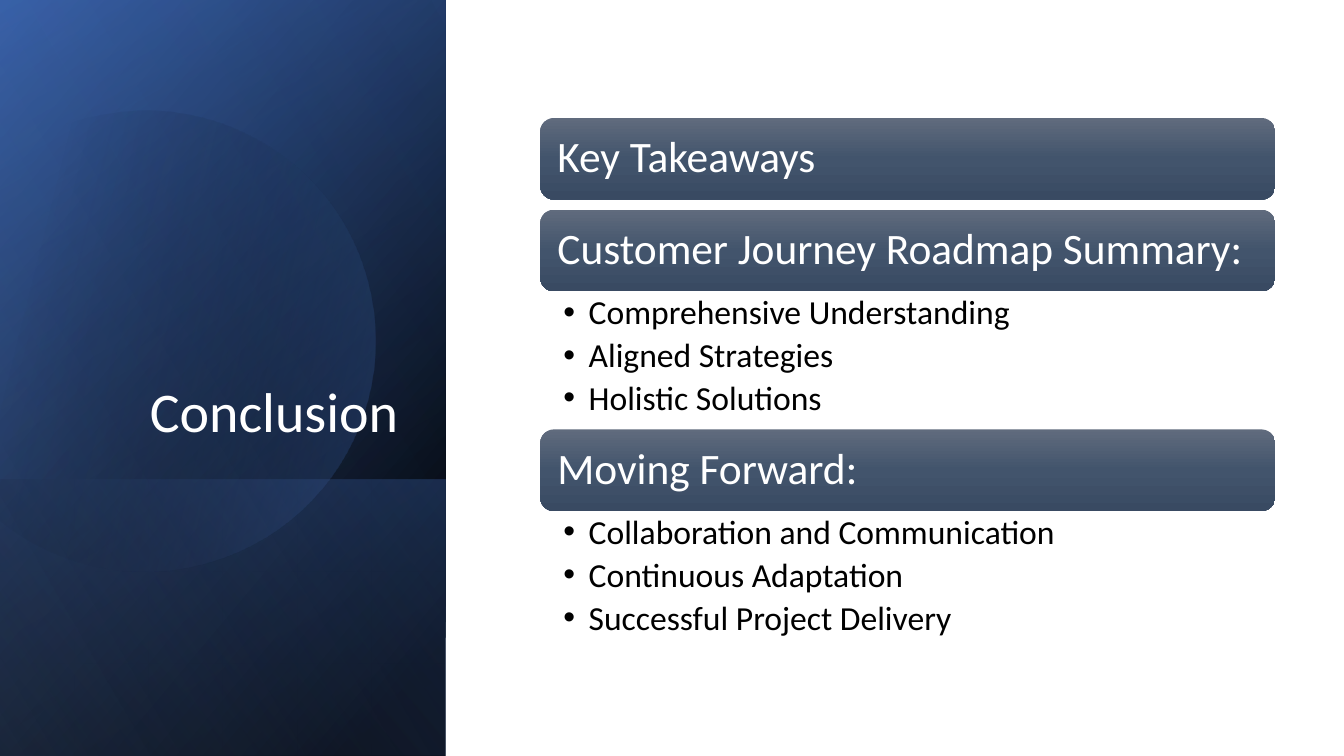
from math import cos, radians, sin

from pptx import Presentation
from pptx.dml.color import RGBColor
from pptx.enum.shapes import MSO_SHAPE as Shape
from pptx.enum.text import MSO_ANCHOR as Anchor, MSO_AUTO_SIZE as AutoSize, PP_ALIGN as Align
from pptx.oxml import parse_xml
from pptx.oxml.ns import nsdecls, qn
from pptx.util import Inches, Pt

# The grid has square cells of a tenth of an inch.
COLUMNS, ROWS = 133.33, 75
FONT = "Calibri"
SIDE_WIDTH = 44.2
CARD_LEFT, CARD_WIDTH, CARD_HEIGHT = 53.6, 72.9, 8.1
CARD_INSET, CARD_GAP, LIST_HEIGHT = 0.4, 1, 13.7
CARD_STOPS = [(0, "606B7D", 100), (50, "42546C", 100), (100, "394A62", 100)]

SECTIONS = [
    ("Key Takeaways", []),
    ("Customer Journey Roadmap Summary:",
     ["Comprehensive Understanding", "Aligned Strategies", "Holistic Solutions"]),
    ("Moving Forward:",
     ["Collaboration and Communication", "Continuous Adaptation", "Successful Project Delivery"]),
]

# The disc outline: a start point, then curves (three points) and lines (one point).
DISC_START = (14.9, 11)
DISC_STEPS = [
    [(24.6, 11.2), (33.5, 17.7), (36.3, 27.5)],
    [(39.8, 39.7), (32.8, 52.3), (20.7, 55.8)],
    [(13.1, 58), (5.3, 56.1), (-0.3, 51.4)],
    [(-1.5, 50.3)],
    [(-1.5, 17.5)],
    [(0, 16.1)],
    [(2.3, 14.2), (5, 12.8), (8, 11.9)],
    [(10.3, 11.3), (12.6, 11), (14.9, 11)],
]
DISC_CENTRE, DISC_TURN = (15.85, 33.45), -16.1


def cells(count):
    return Inches(count / 10)


def grid_box(*counts):
    return [cells(count) for count in counts]


def paint(shape, stops, angle):
    """Fill with a gradient of (position, hex colour, opacity) stops, without line or shadow."""
    shape.shadow.inherit = False
    shape.line.fill.background()
    shape.fill.background()
    marks = "".join(
        f'<a:gs pos="{position * 1000}"><a:srgbClr val="{colour}">'
        f'<a:alpha val="{opacity * 1000}"/></a:srgbClr></a:gs>'
        for position, colour, opacity in stops)
    gradient = parse_xml(
        f'<a:gradFill {nsdecls("a")} rotWithShape="1"><a:gsLst>{marks}</a:gsLst>'
        f'<a:lin ang="{angle * 60000}" scaled="0"/></a:gradFill>')
    properties = shape.element.spPr
    properties.replace(properties.find(qn("a:noFill")), gradient)


def add_panel(slide, top, height, stops, angle):
    """Add a side panel as a mirrored rectangle turned by a quarter."""
    left = (SIDE_WIDTH - height) / 2
    turned_top = top + (height - SIDE_WIDTH) / 2
    panel = slide.shapes.add_shape(
        Shape.RECTANGLE, *grid_box(left, turned_top, height, SIDE_WIDTH))
    panel.rotation = 90
    panel.element.spPr.xfrm.set("flipH", "1")
    paint(panel, stops, angle)


def curve_points(start, first, second, end, count=24):
    for step in range(1, count + 1):
        t = step / count
        weights = ((1 - t) ** 3, 3 * t * (1 - t) ** 2, 3 * t * t * (1 - t), t ** 3)
        yield tuple(sum(weight * point[axis] for weight, point in
                        zip(weights, (start, first, second, end))) for axis in (0, 1))


def unturned(point):
    """Turn a point back around the disc centre, before the shape's own rotation."""
    angle = radians(-DISC_TURN)
    x, y = (value - middle for value, middle in zip(point, DISC_CENTRE))
    return (cells(DISC_CENTRE[0] + x * cos(angle) - y * sin(angle)),
            cells(DISC_CENTRE[1] + x * sin(angle) + y * cos(angle)))


def add_disc(slide):
    outline = [DISC_START]
    for step in DISC_STEPS:
        outline.extend(curve_points(outline[-1], *step) if len(step) == 3 else step)
    points = [unturned(point) for point in outline]
    builder = slide.shapes.build_freeform(*points[0])
    builder.add_line_segments(points[1:], close=True)
    disc = builder.convert_to_shape()
    disc.rotation = DISC_TURN
    paint(disc, [(29, "000000", 0), (100, "4472C4", 43)], 30)


def write(box, lines, size, colour, align=Align.LEFT, anchor=Anchor.TOP,
          insets=(0.1, 0.05, 0.1, 0.05), after=0, bullet=False):
    """Write one paragraph per line; after is the space below as a percentage."""
    frame = box.text_frame
    frame.word_wrap = True
    frame.auto_size = AutoSize.NONE
    frame.vertical_anchor = anchor
    frame.margin_left, frame.margin_top, frame.margin_right, frame.margin_bottom = map(
        Inches, insets)
    for index, line in enumerate(lines):
        para = frame.add_paragraph() if index else frame.paragraphs[0]
        para.alignment = align
        para.line_spacing = 0.9
        span = para.add_run()
        span.text = line
        span.font.name = FONT
        span.font.size = Pt(size)
        span.font.color.rgb = RGBColor.from_string(colour)
        properties = para._p.get_or_add_pPr()
        if after:
            properties.append(parse_xml(
                f'<a:spcAft {nsdecls("a")}><a:spcPct val="{after * 1000}"/></a:spcAft>'))
        if bullet:
            para.level = 1
            properties.set("marL", str(Inches(0.25)))
            properties.set("indent", str(-Inches(0.25)))
            properties.append(parse_xml(f'<a:buFont {nsdecls("a")} typeface="Arial"/>'))
            properties.append(parse_xml(f'<a:buChar {nsdecls("a")} char="•"/>'))


def add_title(slide, text):
    title = slide.shapes.title
    title.left, title.top, title.width, title.height = grid_box(6.4, 18.4, 34.1, 26.2)
    write(title, [text], 40, "FFFFFF", align=Align.RIGHT, anchor=Anchor.BOTTOM)
    title.element.getparent().append(title.element)  # bring to the front


def add_card(group, top, heading):
    card = group.shapes.add_shape(
        Shape.ROUNDED_RECTANGLE, *grid_box(CARD_LEFT, top, CARD_WIDTH, CARD_HEIGHT))
    paint(card, CARD_STOPS, 90)
    label = group.shapes.add_textbox(*grid_box(
        CARD_LEFT + CARD_INSET, top + CARD_INSET,
        CARD_WIDTH - 2 * CARD_INSET, CARD_HEIGHT - 2 * CARD_INSET))
    write(label, [heading], 31, "FFFFFF", anchor=Anchor.MIDDLE, insets=[0.13] * 4, after=35)


def add_list(group, top, items):
    box = group.shapes.add_textbox(*grid_box(CARD_LEFT, top, CARD_WIDTH, LIST_HEIGHT))
    write(box, items, 24, "000000", insets=(0.23, 0.04, 0.24, 0.04), after=20, bullet=True)


def add_sections(slide, top):
    group = slide.shapes.add_group_shape()
    for heading, items in SECTIONS:
        add_card(group, top, heading)
        top += CARD_HEIGHT
        if items:
            add_list(group, top, items)
        top += LIST_HEIGHT if items else CARD_GAP


def main():
    deck = Presentation()
    deck.slide_width, deck.slide_height = grid_box(COLUMNS, ROWS)
    page = deck.slides.add_slide(deck.slide_layouts[5])
    add_panel(page, 0, ROWS, [(8, "000000", 100), (100, "2F5597", 100)], 50)
    add_panel(page, 0, ROWS, [(0, "000000", 0), (99, "4472C4", 46)], 30)
    add_panel(page, 47.6, 27.4, [(2, "4472C4", 29), (100, "000000", 30)], 130)
    add_disc(page)
    add_panel(page, 0, ROWS, [(0, "000000", 0), (99, "8FAADC", 11)], 120)
    add_title(page, "Conclusion")
    add_sections(page, 11.7)
    deck.save("out.pptx")


if __name__ == "__main__":
    main()
